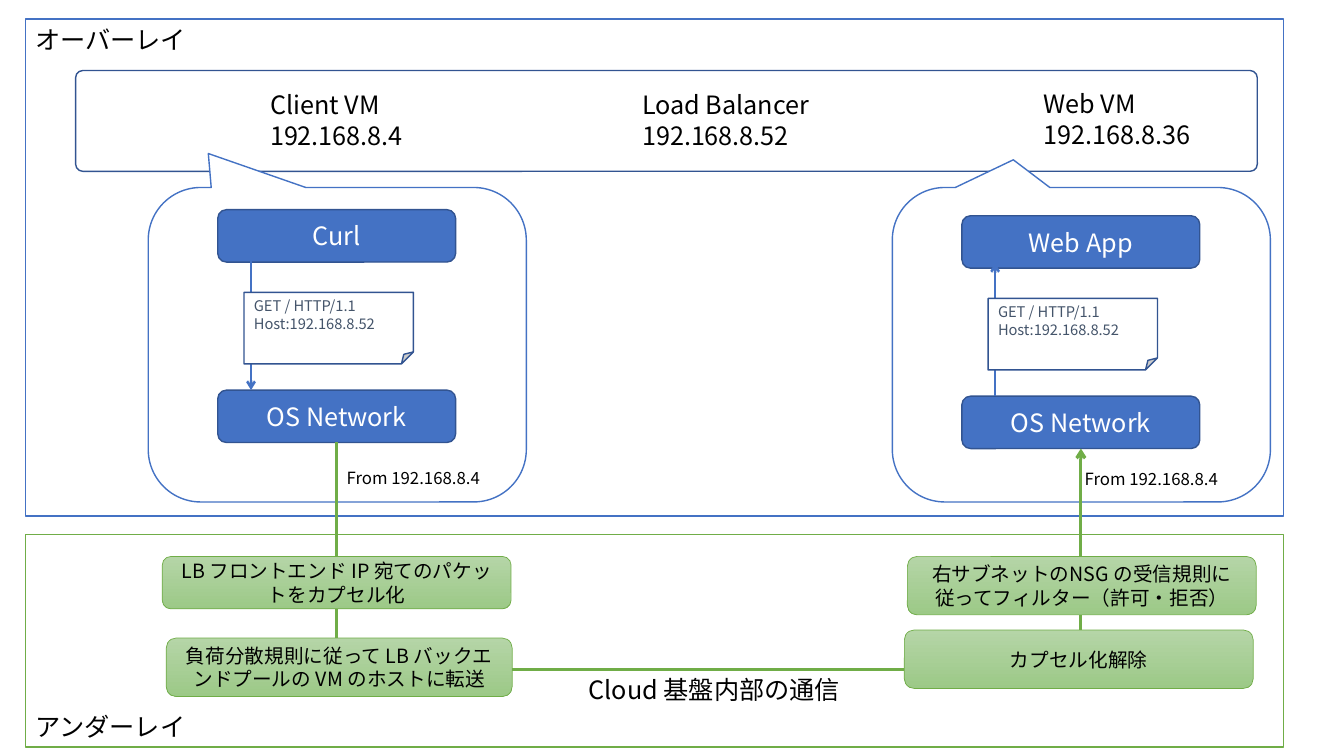
from dataclasses import dataclass

from lxml.etree import SubElement
from pptx import Presentation
from pptx.dml.color import RGBColor
from pptx.enum.shapes import MSO_CONNECTOR as CONN, MSO_SHAPE as SHAPE
from pptx.enum.text import MSO_ANCHOR as ANCHOR, MSO_AUTO_SIZE as AUTO, PP_ALIGN as ALIGN
from pptx.oxml.ns import qn
from pptx.util import Pt


@dataclass(frozen=True)
class Theme:
    """Colours, font and type sizes of the slide."""
    font: str = "Noto Sans CJK JP"
    white: str = "FFFFFF"
    black: str = "000000"
    blue: str = "4472C4"
    navy: str = "325491"
    slate: str = "44546A"
    green: str = "70AD47"
    mint: tuple = ("B5D5A7", "9CC987")
    big: float = 18
    step: float = 14
    small: float = 12
    note: float = 10.5


class Diagram:
    """Draws styled elements on one slide, with lengths in px."""
    PX = 9144

    def __init__(self, prs, theme):
        self.t = theme
        self.slide = prs.slides.add_slide(prs.slide_layouts[6])

    def emu(self, *lengths):
        return [n * self.PX for n in lengths]

    def text(self, tf, text, size, color, align=ALIGN.LEFT):
        for i, line in enumerate(text.split("\n")):
            p = tf.add_paragraph() if i else tf.paragraphs[0]
            p.alignment = align
            r = p.add_run()
            r.text = line
            r.font.size = Pt(size)
            r.font.name = self.t.font
            r.font.color.rgb = RGBColor.from_string(color)
            SubElement(r.font._element, qn("a:ea"), typeface=self.t.font)

    def shape(self, kind, box, fill, line, width=1, adj=()):
        sp = self.slide.shapes.add_shape(kind, *self.emu(*box))
        sp.shadow.inherit = False
        if fill is None:
            sp.fill.background()
        elif isinstance(fill, tuple):
            sp.fill.gradient()
            sp.fill.gradient_angle = 270
            for stop, color in zip(sp.fill.gradient_stops, fill):
                stop.color.rgb = RGBColor.from_string(color)
        else:
            sp.fill.solid()
            sp.fill.fore_color.rgb = RGBColor.from_string(fill)
        sp.line.color.rgb = RGBColor.from_string(line)
        sp.line.width = Pt(width)
        for i, value in enumerate(adj):
            sp.adjustments[i] = value
        sp.text_frame.word_wrap = True
        sp.text_frame.vertical_anchor = ANCHOR.TOP
        return sp

    def panel(self, box, line):
        return self.shape(SHAPE.RECTANGLE, box, self.t.white, line)

    def callout(self, box, tip):
        self.shape(SHAPE.ROUNDED_RECTANGULAR_CALLOUT, box, self.t.white, self.t.blue, adj=tip)

    def button(self, box, text, fill, line, width, size, color):
        sp = self.shape(SHAPE.ROUNDED_RECTANGLE, box, fill, line, width)
        sp.text_frame.vertical_anchor = ANCHOR.MIDDLE
        self.text(sp.text_frame, text, size, color, ALIGN.CENTER)

    def module(self, x, y, text):
        t = self.t
        self.button((x, y, 236, 52), text, t.blue, t.navy, 1, t.big, t.white)

    def step(self, box, text):
        t = self.t
        self.button(box, text, t.mint, t.green, 0.5, t.step, t.black)

    def note(self, x, y, text):
        t = self.t
        sp = self.shape(SHAPE.FOLDED_CORNER, (x, y, 168, 71), t.white, t.navy)
        self.text(sp.text_frame, text, t.note, t.slate)

    def label(self, box, text, size, wrap=False):
        tf = self.slide.shapes.add_textbox(*self.emu(*box)).text_frame
        tf.word_wrap = wrap
        tf.auto_size = AUTO.SHAPE_TO_FIT_TEXT
        self.text(tf, text, size, self.t.black)

    def arrow(self, points, color, width, kind=CONN.STRAIGHT):
        cx = self.slide.shapes.add_connector(kind, *self.emu(*points))
        cx.line.color.rgb = RGBColor.from_string(color)
        cx.line.width = Pt(width)
        SubElement(cx.line._get_or_add_ln(), qn("a:tailEnd"), type="arrow")
        SubElement(cx._element.spPr, qn("a:effectLst"))
        return cx

    def u_arrow(self, x1, y1, x2, y2, bottom, color, width):
        mx, my = (x1 + x2) // 2, (y1 + y2) // 2
        dx, dy = (x2 - x1) // 2, (y2 - y1) // 2
        cx = self.arrow((mx + dy, my - dx, mx - dy, my + dx), color, width, CONN.ELBOW)
        spPr = cx._element.spPr
        spPr.find(qn("a:xfrm")).set("rot", "16200000")
        depth = round((bottom - y1) / (y2 - y1) * 100000)
        av = spPr.find(qn("a:prstGeom")).find(qn("a:avLst"))
        SubElement(av, qn("a:gd"), name="adj1", fmla=f"val {depth}")


def main():
    prs = Presentation()
    prs.slide_width, prs.slide_height = 1333 * Diagram.PX, 750 * Diagram.PX
    t = Theme()
    d = Diagram(prs, t)

    overlay = d.panel((25, 19, 1248, 493), t.blue)
    d.text(overlay.text_frame, "オーバーレイ", t.big, t.black)
    d.shape(SHAPE.ROUNDED_RECTANGLE, (75, 70, 1172, 100), None, t.navy, adj=(0.071,))
    d.panel((25, 530, 1248, 211), t.green)
    d.label((25, 701, 172, 40), "アンダーレイ", t.big)

    for box, text in (
        ((258, 84, 152, 71), "Client VM\n192.168.8.4"),
        ((627, 84, 188, 71), "Load Balancer\n192.168.8.52"),
        ((1025, 83, 166, 71), "Web VM\n192.168.8.36"),
    ):
        d.label(box, text, t.big)

    for x, dy, app, tip, ends in (
        (147, 0, "Curl", (-0.341, -0.608, 0.167), (255, 387)),
        (885, 6, "Web App", (-0.18, -0.588, 0.167), (393, 261)),
    ):
        d.callout((x, 186, 375, 312), tip)
        d.module(x + 69, 208 + dy, app)
        d.module(x + 69, 387 + dy, "OS Network")
        d.arrow((x + 102, ends[0], x + 102, ends[1]), t.blue, 1.75)
        d.note(x + 95, 290 + dy, "GET / HTTP/1.1\nHost:192.168.8.52")

    d.u_arrow(334, 439, 1072, 445, 665, t.green, 2.25)
    for box, text in (
        ((161, 552, 346, 52), "LB フロントエンド IP 宛てのパケットをカプセル化"),
        ((165, 633, 343, 58), "負荷分散規則に従って LB バックエンドプールの VM のホストに転送"),
        ((897, 625, 346, 58), "カプセル化解除"),
        ((900, 552, 346, 58), "右サブネットのNSG の受信規則に従ってフィルター（許可・拒否）"),
    ):
        d.step(box, text)

    d.label((574, 664, 270, 40), "Cloud 基盤内部の通信", t.big, wrap=True)
    for x, y in ((334, 459), (1066, 460)):
        d.label((x, y, 153, 30), "From 192.168.8.4", t.small)

    prs.save("out.pptx")


if __name__ == "__main__":
    main()
